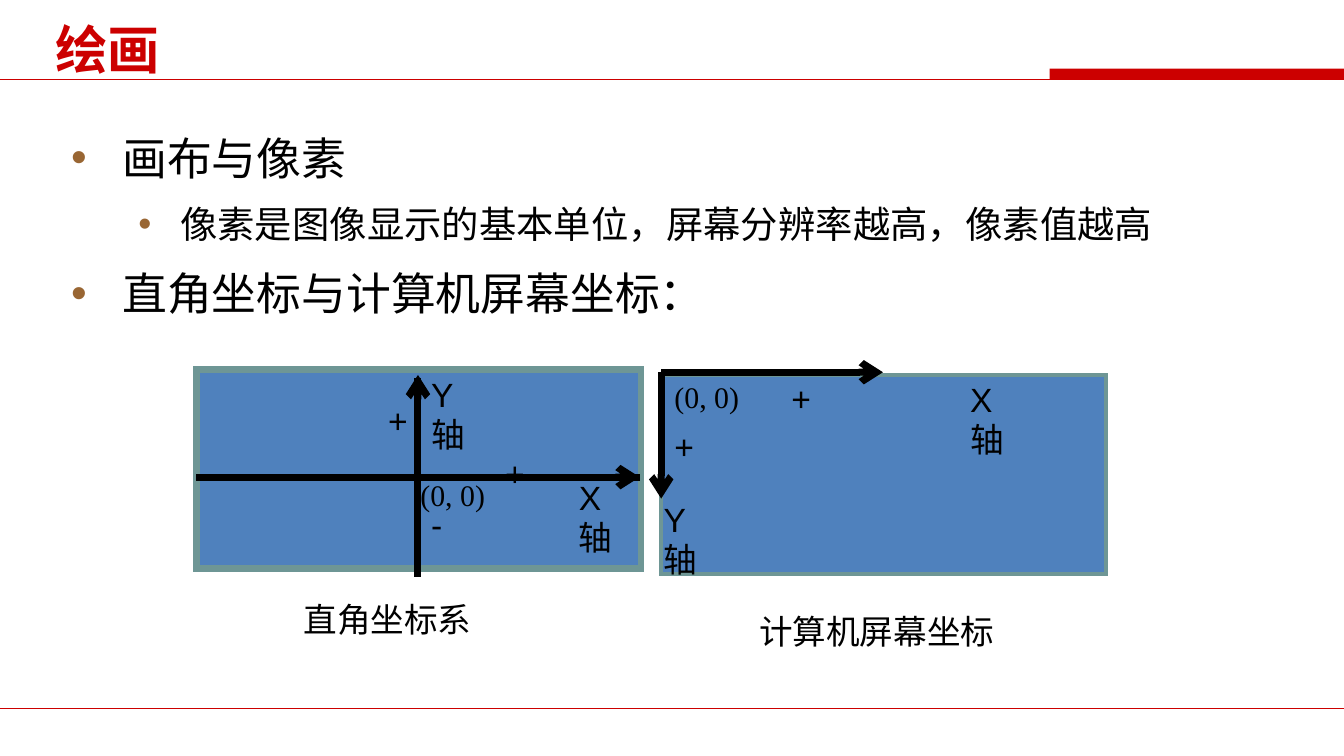
import pptx
import pptx.util
import pptx.dml.color
import pptx.enum.shapes
import pptx.enum.text
import pptx.oxml
import pptx.oxml.ns
from lxml import etree

Inches = pptx.util.Inches
Pt = pptx.util.Pt
RED, BLACK, BLUE, GREEN, BROWN = "CC0000", "000000", "4F81BD", "6E9695", "996633"
CJK, LATIN, SERIF = "Noto Sans CJK SC", "Arial", "Times New Roman"

TITLE = "绘画"
POINTS = [
    ("画布与像素", 0),
    ("像素是图像显示的基本单位，屏幕分辨率越高，像素值越高", 1),
    ("直角坐标与计算机屏幕坐标：", 0),
]
LEVELS = [
    {"size": 24, "margin": 0.38, "hanging": 0.38},
    {"size": 20, "margin": 0.81, "hanging": 0.31},
]
DIAGRAMS = [
    {
        "canvas": (1.46, 2.75, 3.31, 1.48), "border": 3.75,
        "axes": [
            ((1.46, 3.55), (4.76, 3.55), False),
            ((3.11, 2.81), (3.11, 4.29), False),
            ((3.11, 3.21), (3.11, 2.79), True),
            ((3.82, 3.55), (4.76, 3.55), True),
        ],
        "axis_names": [("X轴", 4.21, 3.5), ("Y轴", 3.11, 2.73)],
        "signs": [("+", 3.66, 3.32), ("+", 2.79, 2.93), ("-", 1.85, 3.32), ("-", 3.11, 3.7)],
        "origin": (3.03, 3.5),
        "caption": ("直角坐标系", 2.16, 4.41, 1.57),
    },
    {
        "canvas": (4.92, 2.79, 3.31, 1.48), "border": 2,
        "axes": [
            ((4.92, 2.77), (6.57, 2.77), True),
            ((4.92, 2.77), (4.92, 3.71), True),
        ],
        "axis_names": [("X轴", 7.12, 2.77), ("Y轴", 4.84, 3.66)],
        "signs": [("+", 5.79, 2.76), ("+", 4.92, 3.12)],
        "origin": (4.92, 2.77),
        "caption": ("计算机屏幕坐标", 5.55, 4.5, 1.97),
    },
]


def color(value):
    return pptx.dml.color.RGBColor.from_string(value)


def child(parent, tag, **attributes):
    return etree.SubElement(parent, pptx.oxml.ns.qn(tag), attributes)


def write(paragraph, text, size=18, font=LATIN, ink=BLACK, bold=False):
    run = paragraph.add_run()
    run.text = text
    run.font.size = Pt(size)
    run.font.name = font
    run.font.bold = bold
    run.font.color.rgb = color(ink)
    child(run._r.get_or_add_rPr(), "a:ea", typeface=CJK)
    paragraph.alignment = pptx.enum.text.PP_ALIGN.LEFT


def place(holder, left, top, width, height, anchor):
    holder.left, holder.top = Inches(left), Inches(top)
    holder.width, holder.height = Inches(width), Inches(height)
    frame = holder.text_frame
    frame.word_wrap = True
    frame.auto_size = pptx.enum.text.MSO_AUTO_SIZE.NONE
    frame.vertical_anchor = anchor
    return frame


def label(shapes, text, left, top, width, height=0.4, **style):
    frame = shapes.add_textbox(*map(Inches, (left, top, width, height))).text_frame
    frame.word_wrap = True
    write(frame.paragraphs[0], text, **style)


def box(shapes, bounds, fill, border=None):
    rectangle = shapes.add_shape(
        pptx.enum.shapes.MSO_SHAPE.RECTANGLE, *map(Inches, bounds))
    rectangle.shadow.inherit = False
    rectangle.fill.solid()
    rectangle.fill.fore_color.rgb = color(fill)
    if border:
        rectangle.line.color.rgb = color(GREEN)
        rectangle.line.width = Pt(border)
        child(rectangle.line._get_or_add_ln(), "a:miter", lim="800000")
    else:
        rectangle.line.fill.background()


def rule(shapes, start, end, ink, width, arrow=False):
    line = shapes.add_connector(
        pptx.enum.shapes.MSO_CONNECTOR.STRAIGHT, *map(Inches, start + end))
    line.line.color.rgb = color(ink)
    line.line.width = Pt(width)
    if arrow:
        child(line.line._get_or_add_ln(), "a:tailEnd", type="arrow")
    child(line._element.spPr, "a:effectLst")


def bullet(paragraph, margin, hanging):
    properties = paragraph._p.get_or_add_pPr()
    properties.set("marL", str(Inches(margin)))
    properties.set("indent", str(-Inches(hanging)))
    child(child(properties, "a:buClr"), "a:srgbClr", val=BROWN)
    child(properties, "a:buFont", typeface=LATIN)
    child(properties, "a:buChar", char="•")


def draw_diagram(slide, diagram):
    shapes = slide.shapes.add_group_shape().shapes
    box(shapes, diagram["canvas"], BLUE, diagram["border"])
    for start, end, arrow in diagram["axes"]:
        rule(shapes, start, end, BLACK, 3.75, arrow)
    for text, left, top in diagram["axis_names"]:
        label(shapes, text, left, top, 0.6)
    for text, left, top in diagram["signs"]:
        label(shapes, text, left, top, 0.31)
    label(shapes, "(0, 0)", *diagram["origin"], 0.71, 0.37, size=16, font=SERIF)
    label(shapes, *diagram["caption"])


def main():
    deck = pptx.Presentation()
    deck.slide_width, deck.slide_height = Inches(10), Inches(10 * 9 / 16)
    slide = deck.slides.add_slide(deck.slide_layouts[1])
    anchors = pptx.enum.text.MSO_ANCHOR

    for y in (0.59, 5.27):
        rule(slide.shapes, (0, y), (10, y), RED, 0.75)
    box(slide.shapes, (7.81, 0.51, 2.19, 0.08), RED)

    title = place(slide.shapes.title, 0.31, 0.12, 9, 0.48, anchors.MIDDLE)
    write(title.paragraphs[0], TITLE, size=28, font=CJK, ink=RED, bold=True)

    body = place(slide.placeholders[1], 0.43, 0.92, 9.22, 1.16, anchors.TOP)
    for index, (text, level) in enumerate(POINTS):
        paragraph = body.add_paragraph() if index else body.paragraphs[0]
        style = LEVELS[level]
        write(paragraph, text, size=style["size"], font=CJK)
        paragraph.level = level
        paragraph.line_spacing = 1.0
        paragraph.space_before = Pt(0.45 * style["size"] if index else 0)
        bullet(paragraph, style["margin"], style["hanging"])

    for diagram in DIAGRAMS:
        draw_diagram(slide, diagram)
    deck.save("out.pptx")


if __name__ == "__main__":
    main()
